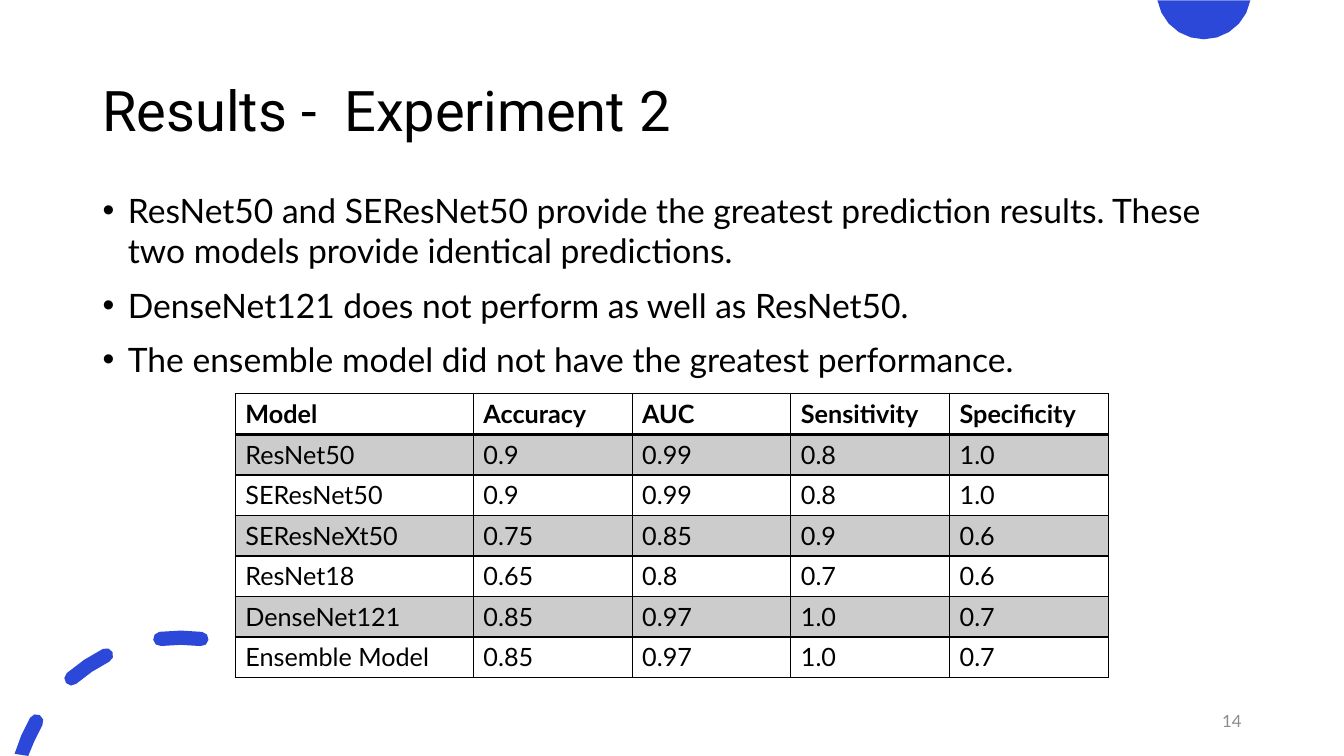
"""Build the slide with the results of experiment 2."""
from dataclasses import dataclass
from math import cos, radians, sin

from lxml.etree import SubElement
from pptx import Presentation
from pptx.dml.color import RGBColor
from pptx.enum.text import MSO_ANCHOR, MSO_AUTO_SIZE, PP_ALIGN
from pptx.oxml.ns import qn
from pptx.util import Cm, Pt


@dataclass(frozen=True)
class Theme:
    ink: RGBColor = RGBColor(0x00, 0x00, 0x00)
    accent: RGBColor = RGBColor(0x2B, 0x48, 0xD8)
    muted: RGBColor = RGBColor(0x8C, 0x8C, 0x8C)
    band_opacity: int = 20
    title_font: str = "Roboto"
    body_font: str = "Lato"
    title_size: int = 40
    body_size: int = 24
    table_size: int = 18
    number_size: int = 12


WIDTH, HEIGHT = 33.87, 19.05
ARC_CENTER, ARC_RADIUS, DASH_HALF = (4.55, 20.26), 4.19, 0.18
DASHES = [(-73.2, -60.2), (-41, -26.6), (-7, 7.2)]
BALL_CENTER, BALL_RADIUS = (30.34, -0.2), 1.19
BULLETS = [
    "ResNet50 and SEResNet50 provide the greatest prediction results. "
    "These two models provide identical predictions.",
    "DenseNet121 does not perform as well as ResNet50.",
    "The ensemble model did not have the greatest performance.",
]
RESULTS = [
    ["Model", "Accuracy", "AUC", "Sensitivity", "Specificity"],
    ["ResNet50", "0.9", "0.99", "0.8", "1.0"],
    ["SEResNet50", "0.9", "0.99", "0.8", "1.0"],
    ["SEResNeXt50", "0.75", "0.85", "0.9", "0.6"],
    ["ResNet18", "0.65", "0.8", "0.7", "0.6"],
    ["DenseNet121", "0.85", "0.97", "1.0", "0.7"],
    ["Ensemble Model", "0.85", "0.97", "1.0", "0.7"],
]
COLUMN_WIDTHS = [6, 4, 4, 4, 4]
HEADER_HEIGHT, ROW_HEIGHT = 1.03, 1.02


def arc(center, radius, start, end, steps):
    angles = [radians(start + (end - start) * step / steps) for step in range(steps + 1)]
    return [(center[0] + radius * sin(angle), center[1] - radius * cos(angle)) for angle in angles]


def dash_outline(start, end):
    tail, head = (arc(ARC_CENTER, ARC_RADIUS, angle, angle, 1)[0] for angle in (start, end))
    points = (
        arc(ARC_CENTER, ARC_RADIUS + DASH_HALF, start, end, 2)
        + arc(head, DASH_HALF, end, end + 180, 4)[1:-1]
        + arc(ARC_CENTER, ARC_RADIUS - DASH_HALF, end, start, 2)
    )
    if tail[1] + DASH_HALF < HEIGHT:
        points += arc(tail, DASH_HALF, start + 180, start + 360, 4)[1:-1]
    return points


class SlideBuilder:
    def __init__(self, slide, theme):
        self.slide = slide
        self.theme = theme

    def style(self, paragraph, size, font=None, color=None, bold=False):
        for run in paragraph.runs:
            run.font.name = font or self.theme.body_font
            run.font.size = Pt(size)
            run.font.bold = bold
            run.font.color.rgb = color or self.theme.ink

    def place(self, shape, left, top, width, height, anchor):
        shape.left, shape.top, shape.width, shape.height = map(Cm, (left, top, width, height))
        text_frame = shape.text_frame
        text_frame.word_wrap = True
        text_frame.auto_size = MSO_AUTO_SIZE.NONE
        text_frame.vertical_anchor = anchor
        return text_frame

    def outline(self, contours):
        builder = None
        for contour in contours:
            points = [(Cm(x), Cm(min(max(y, 0), HEIGHT))) for x, y in contour]
            if builder is None:
                builder = self.slide.shapes.build_freeform(*points[0])
            else:
                builder.move_to(*points[0])
            builder.add_line_segments(points[1:], close=True)
        shape = builder.convert_to_shape()
        shape.shadow.inherit = False
        shape.fill.solid()
        shape.fill.fore_color.rgb = self.theme.accent
        shape.line.fill.background()

    def title(self, text):
        text_frame = self.place(
            self.slide.shapes.title, 2.33, 1.01, 29.21, 3.68, MSO_ANCHOR.MIDDLE)
        text_frame.text = text
        paragraph = text_frame.paragraphs[0]
        paragraph.alignment = PP_ALIGN.LEFT
        paragraph.line_spacing = 0.9
        self.style(paragraph, self.theme.title_size, self.theme.title_font)

    def bullets(self, items):
        text_frame = self.place(
            self.slide.placeholders[1], 2.33, 4.66, 29.21, 5.26, MSO_ANCHOR.TOP)
        text_frame.text = "\n".join(items)
        for paragraph in text_frame.paragraphs:
            paragraph.space_before = Pt(10)
            paragraph.line_spacing = 1.0
            properties = paragraph._p.get_or_add_pPr()
            properties.set("marL", str(Cm(0.64)))
            properties.set("indent", str(Cm(-0.64)))
            SubElement(properties, qn("a:buFont"), typeface="Arial")
            SubElement(properties, qn("a:buChar"), char="•")
            self.style(paragraph, self.theme.body_size)

    def borders(self, cell, bottom_width):
        properties = cell._tc.get_or_add_tcPr()
        for side, width in (("L", 1), ("R", 1), ("T", 1), ("B", bottom_width)):
            line = SubElement(properties, qn(f"a:ln{side}"), w=str(Pt(width)))
            fill = SubElement(line, qn("a:solidFill"))
            SubElement(fill, qn("a:srgbClr"), val=str(self.theme.ink))

    def band(self, cell):
        cell.fill.solid()
        cell.fill.fore_color.rgb = self.theme.ink
        color = cell._tc.tcPr.find(f"{qn('a:solidFill')}/{qn('a:srgbClr')}")
        SubElement(color, qn("a:alpha"), val=str(self.theme.band_opacity * 1000))

    def table(self, rows, left, top):
        heights = [HEADER_HEIGHT] + [ROW_HEIGHT] * (len(rows) - 1)
        table = self.slide.shapes.add_table(
            len(rows), len(COLUMN_WIDTHS), Cm(left), Cm(top),
            Cm(sum(COLUMN_WIDTHS)), Cm(sum(heights))).table
        table.horz_banding = False
        for column, width in zip(table.columns, COLUMN_WIDTHS):
            column.width = Cm(width)
        for row_index, values in enumerate(rows):
            is_header = row_index == 0
            table.rows[row_index].height = Cm(heights[row_index])
            for column_index, value in enumerate(values):
                cell = table.cell(row_index, column_index)
                cell.text_frame.text = value
                self.style(cell.text_frame.paragraphs[0], self.theme.table_size, bold=is_header)
                self.borders(cell, 2 if is_header else 1)
                if row_index % 2:
                    self.band(cell)
                else:
                    cell.fill.background()

    def page_number(self, number):
        shape = self.slide.shapes.add_textbox(0, 0, 0, 0)
        text_frame = self.place(shape, 23.92, 17.66, 7.62, 1.01, MSO_ANCHOR.MIDDLE)
        text_frame.text = number
        paragraph = text_frame.paragraphs[0]
        paragraph.alignment = PP_ALIGN.RIGHT
        self.style(paragraph, self.theme.number_size, color=self.theme.muted)


def main():
    presentation = Presentation()
    presentation.slide_width, presentation.slide_height = Cm(WIDTH), Cm(HEIGHT)
    slide = presentation.slides.add_slide(presentation.slide_layouts[1])
    builder = SlideBuilder(slide, Theme())
    builder.outline([arc(BALL_CENTER, BALL_RADIUS, 100, 260, 10)])
    builder.outline([dash_outline(start, end) for start, end in DASHES])
    builder.title("Results -  Experiment 2")
    builder.table(RESULTS, 5.93, 9.92)
    builder.bullets(BULLETS)
    builder.page_number("14")
    presentation.save("out.pptx")


if __name__ == "__main__":
    main()
